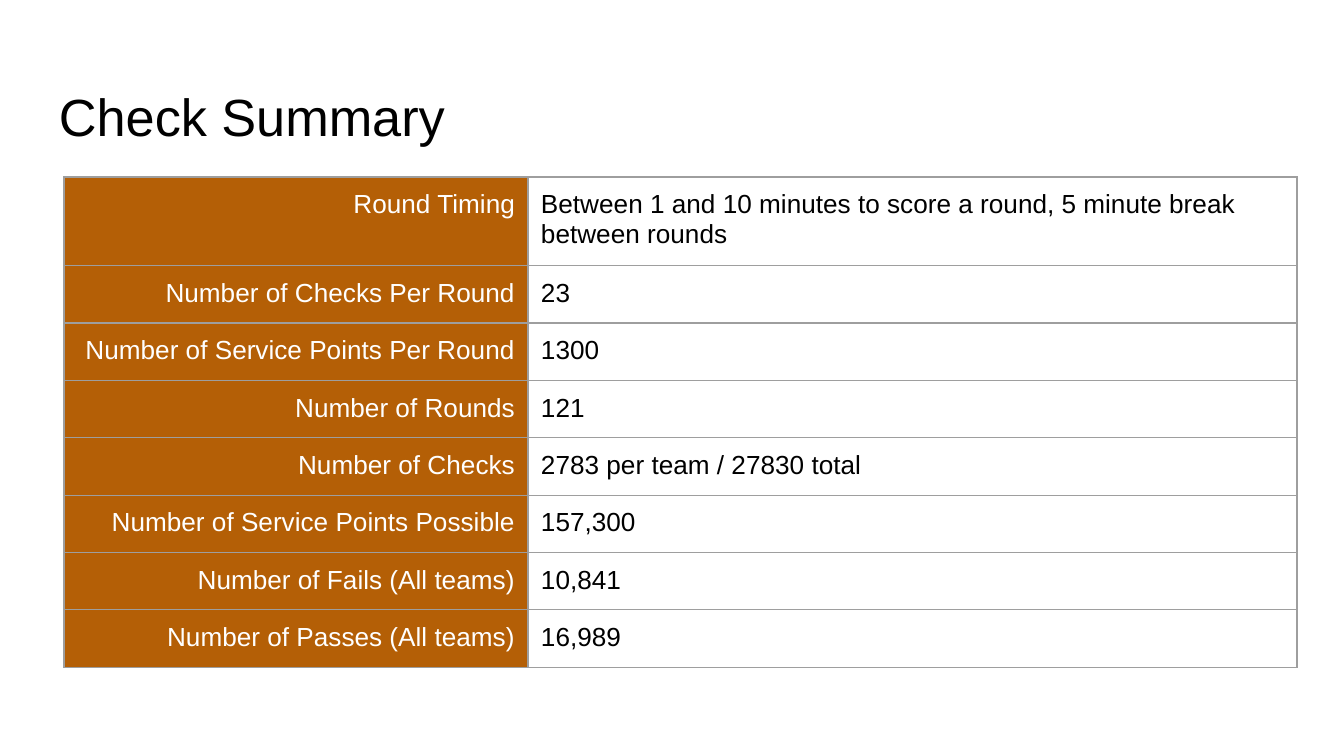
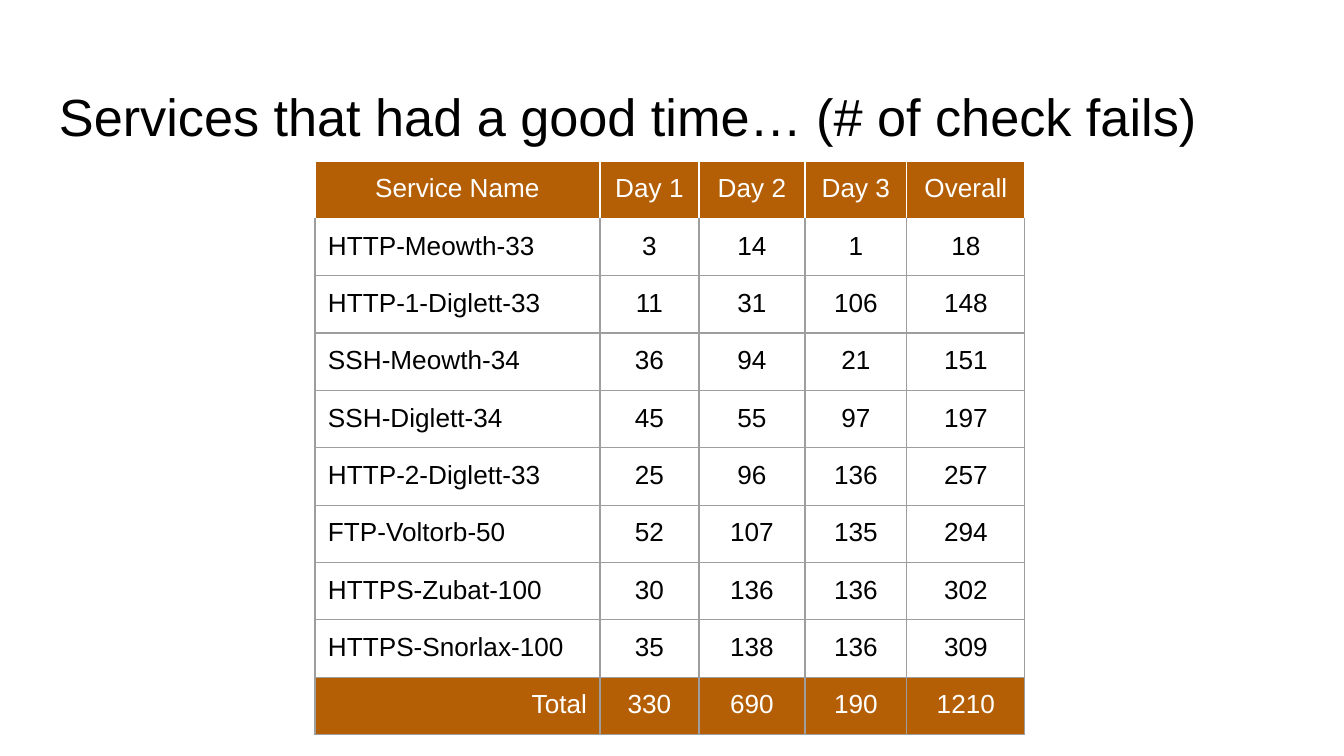
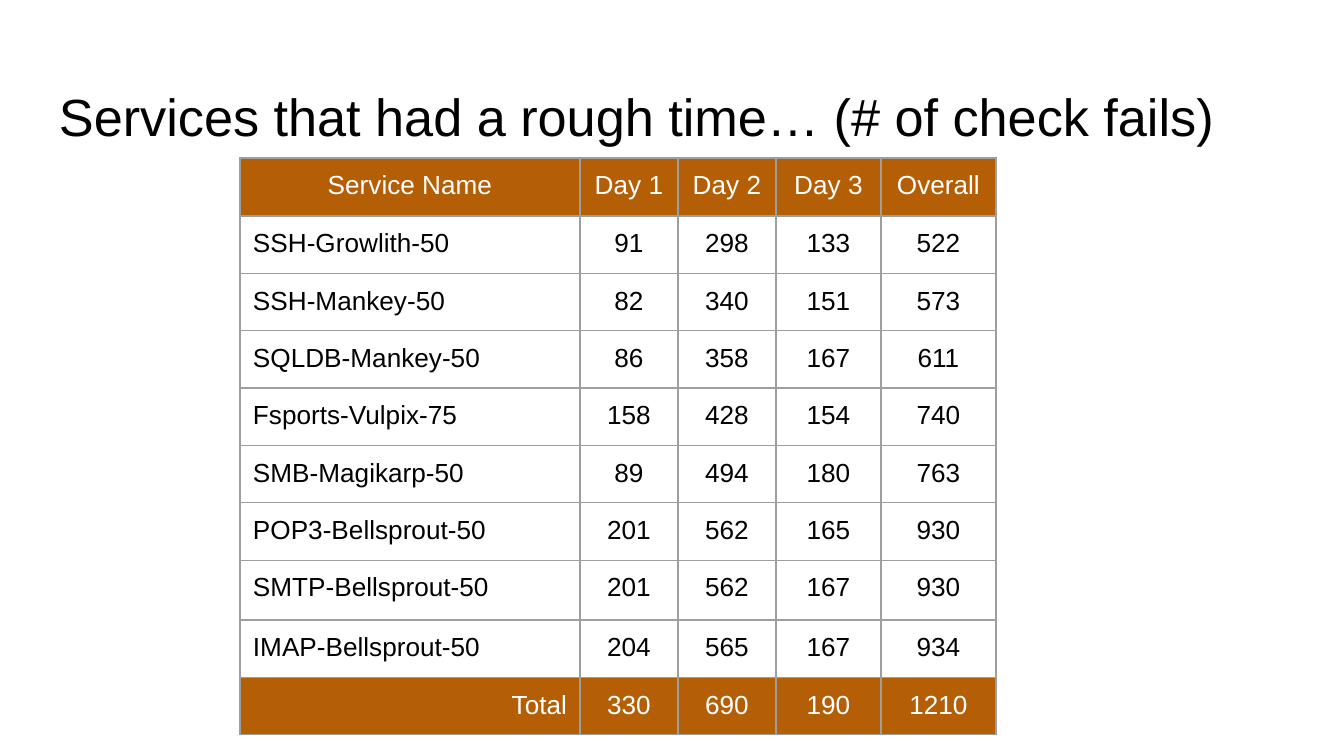
from lxml import etree
from pptx import Presentation
from pptx.dml.color import RGBColor
from pptx.enum.text import PP_ALIGN
from pptx.oxml.ns import qn
from pptx.util import Pt

SCALE = 9144000 / 1344  # EMU per px
WIDTH, HEIGHT = 1344, 756
INSET = 13
ROW = 56
EDGE = 9525

FONT = "Arial"
WHITE = RGBColor(0xFF, 0xFF, 0xFF)
BLACK = RGBColor(0x00, 0x00, 0x00)
RUST = RGBColor(0xB4, 0x5F, 0x06)
GRAY = RGBColor(0x9E, 0x9E, 0x9E)

LEFT, CENTER, RIGHT = PP_ALIGN.LEFT, PP_ALIGN.CENTER, PP_ALIGN.RIGHT

FACTS = [
    ("Round Timing",
     "Between 1 and 10 minutes to score a round, 5 minute break between rounds"),
    ("Number of Checks Per Round", "23"),
    ("Number of Service Points Per Round", "1300"),
    ("Number of Rounds", "121"),
    ("Number of Checks", "2783 per team / 27830 total"),
    ("Number of Service Points Possible", "157,300"),
    ("Number of Fails (All teams)", "10,841"),
    ("Number of Passes (All teams)", "16,989"),
]
HEADER = ("Service Name", "Day 1", "Day 2", "Day 3", "Overall")
TOTAL = ("Total", 330, 690, 190, 1210)
GOOD = [
    ("HTTP-Meowth-33", 3, 14, 1, 18),
    ("HTTP-1-Diglett-33", 11, 31, 106, 148),
    ("SSH-Meowth-34", 36, 94, 21, 151),
    ("SSH-Diglett-34", 45, 55, 97, 197),
    ("HTTP-2-Diglett-33", 25, 96, 136, 257),
    ("FTP-Voltorb-50", 52, 107, 135, 294),
    ("HTTPS-Zubat-100", 30, 136, 136, 302),
    ("HTTPS-Snorlax-100", 35, 138, 136, 309),
]
ROUGH = [
    ("SSH-Growlith-50", 91, 298, 133, 522),
    ("SSH-Mankey-50", 82, 340, 151, 573),
    ("SQLDB-Mankey-50", 86, 358, 167, 611),
    ("Fsports-Vulpix-75", 158, 428, 154, 740),
    ("SMB-Magikarp-50", 89, 494, 180, 763),
    ("POP3-Bellsprout-50", 201, 562, 165, 930),
    ("SMTP-Bellsprout-50", 201, 562, 167, 930),
    ("IMAP-Bellsprout-50", 204, 565, 167, 934),
]


def px(count):
    return round(count * SCALE)


def style(frame, size, color, align=LEFT):
    para = frame.paragraphs[0]
    para.alignment = align
    for run in para.runs:
        run.font.name = FONT
        run.font.size = Pt(size)
        run.font.color.rgb = color


def set_margins(item, top=INSET):
    item.margin_left = item.margin_right = item.margin_bottom = px(INSET)
    item.margin_top = px(top)


def add_page(deck, title):
    slide = deck.slides.add_slide(deck.slide_layouts[6])
    frame = slide.shapes.add_textbox(px(46), px(66), px(1252), px(84)).text_frame
    frame.word_wrap = True
    set_margins(frame, top=18)
    frame.text = title
    style(frame, 28, BLACK)
    return slide


def add_grid(slide, left, top, widths, heights):
    """Add a bare table without the banded style."""
    table = slide.shapes.add_table(
        len(heights), len(widths), px(left), px(top),
        px(sum(widths)), px(sum(heights))).table
    table.first_row = table.horz_banding = False
    for column, width in zip(table.columns, widths):
        column.width = px(width)
    for row, height in zip(table.rows, heights):
        row.height = px(height)
    return table


def add_edges(cell, color, upper):
    props = cell._tc.get_or_add_tcPr()
    for side in ("lnL", "lnR", "lnT", "lnB"):
        line = etree.SubElement(props, qn("a:" + side), w=str(EDGE))
        fill = etree.SubElement(line, qn("a:solidFill"))
        tint = upper if side == "lnT" else color
        etree.SubElement(fill, qn("a:srgbClr"), val=str(tint))


def fill_cell(cell, text, align, dark, edge=GRAY, upper=GRAY):
    set_margins(cell)
    add_edges(cell, edge, upper)
    if dark:
        cell.fill.solid()
        cell.fill.fore_color.rgb = RUST
    else:
        cell.fill.background()
    cell.text_frame.text = str(text)
    style(cell.text_frame, 14, WHITE if dark else BLACK, align)


def add_facts(slide):
    heights = [86] + [ROW] * (len(FACTS) - 1)
    table = add_grid(slide, 64, 177, (464, 769), heights)
    for row, (label, value) in enumerate(FACTS):
        fill_cell(table.cell(row, 0), label, RIGHT, True)
        fill_cell(table.cell(row, 1), value, LEFT, False)


def add_scores(slide, left, top, widths, heights, scores, rim=GRAY):
    """Add header, scores and total; rim colours the header's edges."""
    table = add_grid(slide, left, top, widths, heights)
    lines = [HEADER, *scores, TOTAL]
    last = len(lines) - 1
    for row, line in enumerate(lines):
        for col, text in enumerate(line):
            align = CENTER
            if col == 0 and row > 0:
                align = RIGHT if row == last else LEFT
            fill_cell(table.cell(row, col), text, align, row in (0, last),
                      edge=rim if row == 0 else GRAY,
                      upper=rim if row < 2 else GRAY)


def main():
    deck = Presentation()
    deck.slide_width, deck.slide_height = px(WIDTH), px(HEIGHT)

    add_facts(add_page(deck, "Check Summary"))

    good = add_page(deck, "Services that had a good time… (# of check fails)")
    add_scores(good, 315, 161, (285, 99, 106, 102, 118),
               [ROW] * 10, GOOD, rim=WHITE)

    rough = add_page(deck, "Services that had a rough time… (# of check fails)")
    add_scores(rough, 240, 158, (340, 98, 98, 105, 115),
               [58] + [ROW] * 6 + [60] + [ROW] * 2, ROUGH)

    deck.save("out.pptx")


if __name__ == "__main__":
    main()
